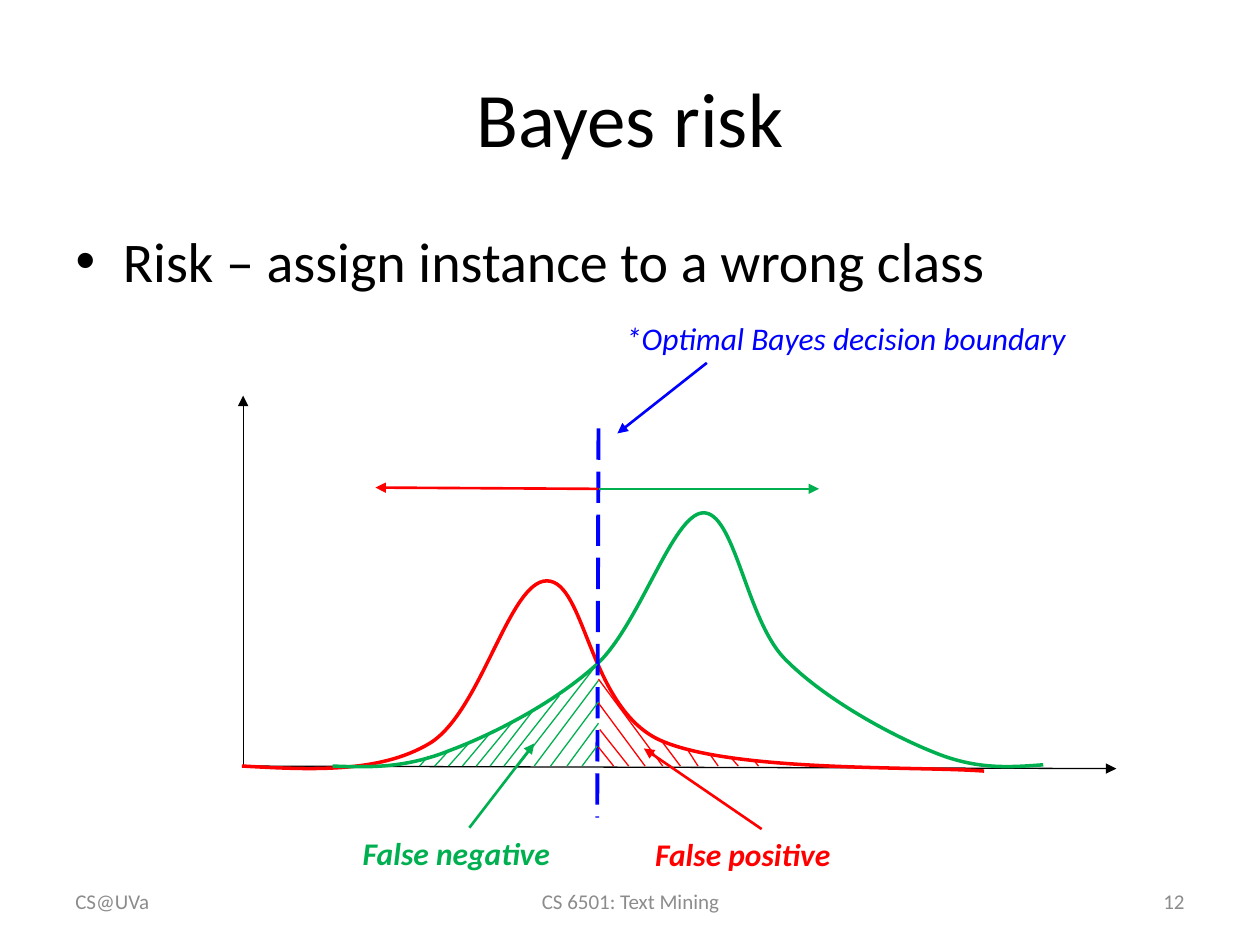
"""Builds the Bayes risk slide: two class densities, their boundary and both error areas."""
from typing import NamedTuple, Optional

from lxml import etree
from pptx import Presentation
from pptx import util as u
from pptx.dml.color import RGBColor
from pptx.enum import dml, shapes, text
from pptx.oxml import ns

PX = u.Inches(1) // 100
FONT = "Calibri"
AXIS_Y = 608
BOUNDARY_X = 475
COLORS = {
    "ink": "000000",
    "footer": "8C8C8C",
    "negative": "FF0000",
    "positive": "00B050",
    "boundary": "0000FF",
}
Point = tuple[int, int]


class Label(NamedTuple):
    words: str
    box: tuple[int, int, int, int]
    color: str


class Density(NamedTuple):
    color: str
    start: Point
    bends: list[tuple[Point, Point, Point]]


class Hatching(NamedTuple):
    color: str
    strokes: list[tuple[int, int, int]]


class Arrow(NamedTuple):
    start: Point
    end: Point
    color: str
    width: float = 1.5


class ErrorNote(NamedTuple):
    label: Label
    target: Point


FOOTERS = [
    (Label("CS@UVa", (50, 695, 233, 40), "footer"), text.PP_ALIGN.LEFT),
    (Label("CS 6501: Text Mining", (342, 695, 317, 40), "footer"), text.PP_ALIGN.CENTER),
    (Label("12", (717, 695, 233, 40), "footer"), text.PP_ALIGN.RIGHT),
]
AXES = [
    Arrow((193, AXIS_Y), (886, 610), "ink", 0.75),
    Arrow((193, AXIS_Y), (193, 314), "ink", 0.75),
]
DENSITIES = [
    Density("negative", (192, 608), [
        ((246, 611), (301, 614), (341, 590)),
        ((382, 565), (404, 461), (434, 461)),
        ((465, 461), (467, 563), (525, 588)),
        ((583, 613), (730, 608), (781, 612)),
    ]),
    Density("positive", (264, 608), [
        ((292, 609), (321, 610), (356, 596)),
        ((391, 583), (440, 558), (474, 527)),
        ((508, 495), (534, 408), (558, 407)),
        ((583, 406), (592, 490), (622, 522)),
        ((653, 554), (706, 583), (741, 597)),
        ((775, 611), (801, 609), (828, 607)),
    ]),
]
HATCHINGS = [
    Hatching("positive", [
        (356, 596, 345), (372, 590, 356), (388, 583, 367), (406, 574, 378),
        (423, 564, 389), (444, 552, 400), (474, 527, 411), (475, 540, 424),
        (475, 557, 437), (475, 574, 450), (474, 592, 462), (340, 600, 333),
    ]),
    Hatching("negative", [
        (475, 593, 487), (476, 579, 499), (475, 558, 512), (475, 539, 526),
        (525, 588, 540), (545, 594, 554), (563, 598, 570), (579, 600, 586),
        (598, 603, 602),
    ]),
]
DECISIONS = [
    Arrow((BOUNDARY_X, 388), (298, 387), "negative"),
    Arrow((BOUNDARY_X, 388), (650, 388), "positive"),
]
ERROR_NOTES = [
    ErrorNote(Label("False positive", (510, 658, 189, 40), "negative"), (511, 594)),
    ErrorNote(Label("False negative", (278, 657, 189, 40), "positive"), (424, 590)),
]
BOUNDARY_LABEL = Label("*Optimal Bayes decision boundary", (487, 248, 400, 40), "boundary")
BOUNDARY_ARROW = Arrow((561, 288), (490, 344), "boundary")


def rgb(color: str) -> RGBColor:
    return RGBColor.from_string(COLORS[color])


def write(frame, words: str, *, size: int, color: str = "ink", bold: bool = False,
          italic: bool = False, align=text.PP_ALIGN.LEFT, anchor=text.MSO_ANCHOR.TOP) -> None:
    frame.word_wrap = True
    frame.vertical_anchor = anchor
    paragraph = frame.paragraphs[0]
    paragraph.alignment = align
    run = paragraph.add_run()
    run.text = words
    font = run.font
    font.name, font.size = FONT, u.Pt(size)
    font.bold, font.italic = bold, italic
    font.color.rgb = rgb(color)


def fill_placeholder(holder, box: tuple[int, int, int, int], words: str, **style) -> None:
    holder.left, holder.top, holder.width, holder.height = (n * PX for n in box)
    write(holder.text_frame, words, **style)


def draw_label(canvas, label: Label, **style):
    box = canvas.add_textbox(*(n * PX for n in label.box))
    write(box.text_frame, label.words, color=label.color, **style)
    return box


def draw_line(canvas, start: Point, end: Point, color: str, width: float,
              head: bool = False, dash: Optional[dml.MSO_LINE] = None):
    line = canvas.add_connector(
        shapes.MSO_CONNECTOR.STRAIGHT, *(n * PX for n in (*start, *end)))
    line.line.color.rgb = rgb(color)
    line.line.width = u.Pt(width)
    if dash is not None:
        line.line.dash_style = dash
    if head:
        etree.SubElement(line.get_or_add_ln(), ns.qn("a:tailEnd"), type="triangle")
    etree.SubElement(line.element.spPr, ns.qn("a:effectLst"))
    return line


def draw_arrow(canvas, arrow: Arrow):
    return draw_line(canvas, *arrow, head=True)


def draw_density(canvas, density: Density) -> None:
    outline = canvas.build_freeform(*density.start, scale=PX)
    outline.add_line_segments([bend[-1] for bend in density.bends], close=False)
    curve = outline.convert_to_shape()
    left, top = round(curve.left / PX), round(curve.top / PX)
    segments = list(curve.element.iter(ns.qn("a:lnTo")))
    for segment, bend in zip(segments, density.bends):
        cubic = etree.Element(ns.qn("a:cubicBezTo"))
        for x, y in bend:
            etree.SubElement(cubic, ns.qn("a:pt"), x=str(x - left), y=str(y - top))
        segment.getparent().replace(segment, cubic)
    curve.shadow.inherit = False
    curve.fill.background()
    curve.line.color.rgb = rgb(density.color)
    curve.line.width = u.Pt(2)


def draw_hatching(canvas, hatching: Hatching) -> None:
    area = canvas.add_group_shape()
    for x, y, foot in hatching.strokes:
        draw_line(area.shapes, (x, y), (foot, AXIS_Y), hatching.color, 0.75)


def draw_error_note(canvas, note: ErrorNote) -> None:
    label = draw_label(canvas, note.label, size=18, bold=True, italic=True)
    left, top, width, _ = note.label.box
    arrow = draw_arrow(canvas, Arrow((left + width // 2, top), note.target, note.label.color))
    arrow.begin_connect(label, 0)


def main() -> None:
    deck = Presentation()
    deck.slide_width, deck.slide_height = 1000 * PX, 750 * PX
    slide = deck.slides.add_slide(deck.slide_layouts[1])
    canvas = slide.shapes
    fill_placeholder(canvas.title, (50, 30, 900, 125), "Bayes risk", size=44,
                     align=text.PP_ALIGN.CENTER, anchor=text.MSO_ANCHOR.MIDDLE)
    fill_placeholder(slide.placeholders[1], (50, 175, 900, 495),
                     "Risk – assign instance to a wrong class", size=32)
    for footer, align in FOOTERS:
        draw_label(canvas, footer, size=12, align=align, anchor=text.MSO_ANCHOR.MIDDLE)
    for axis in AXES:
        draw_arrow(canvas, axis)
    for density in DENSITIES:
        draw_density(canvas, density)
    draw_line(canvas, (BOUNDARY_X, 340), (BOUNDARY_X - 1, 649), "boundary", 2.25,
              dash=dml.MSO_LINE.LONG_DASH)
    for hatching in HATCHINGS:
        draw_hatching(canvas, hatching)
    for decision in DECISIONS:
        draw_arrow(canvas, decision)
    for note in ERROR_NOTES:
        draw_error_note(canvas, note)
    draw_label(canvas, BOUNDARY_LABEL, size=18, italic=True)
    draw_arrow(canvas, BOUNDARY_ARROW)
    deck.save("out.pptx")


if __name__ == "__main__":
    main()
